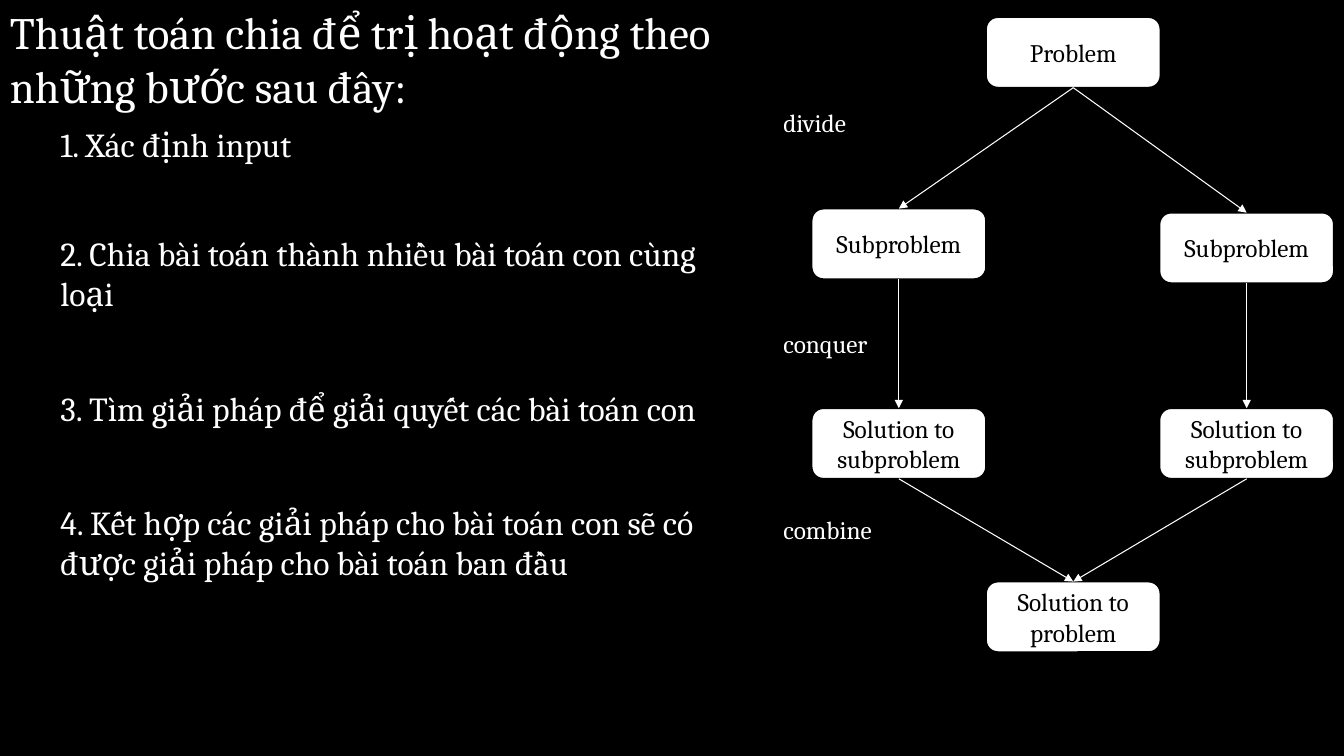
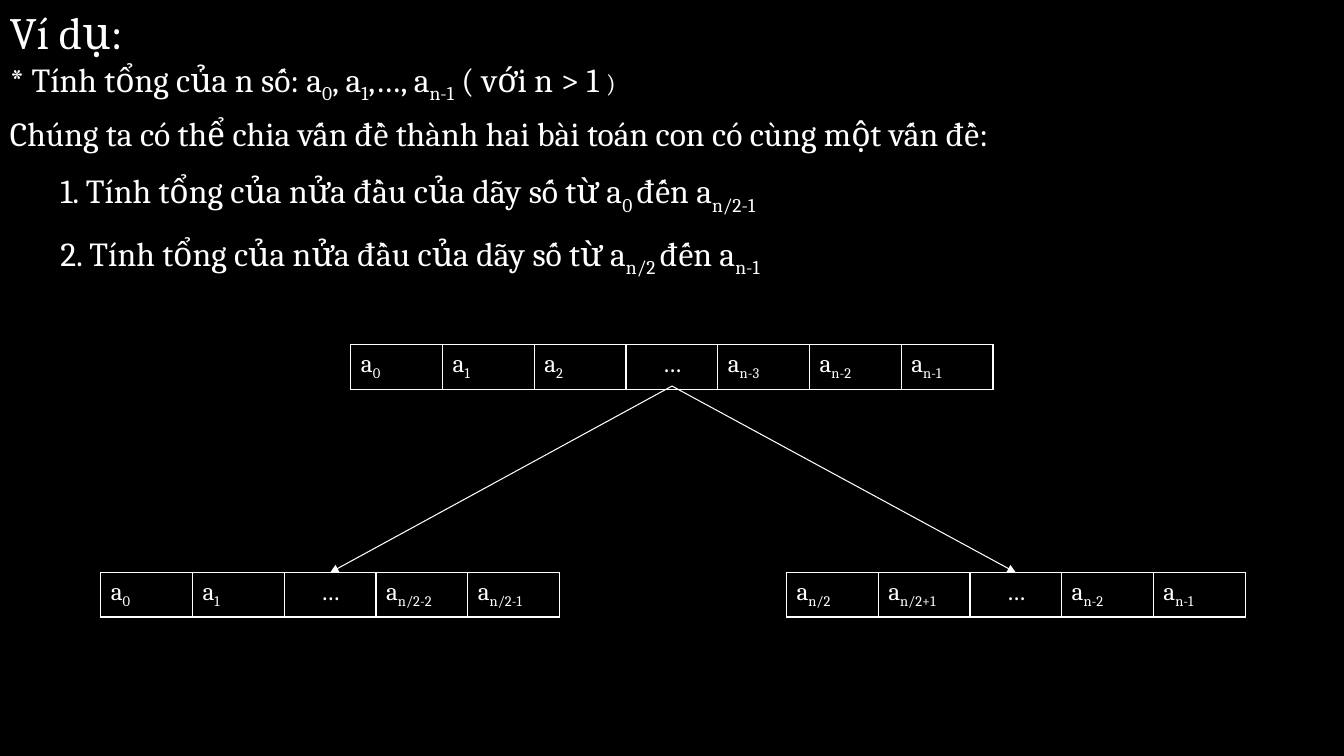
from lxml import etree
from pptx import Presentation
from pptx.dml.color import RGBColor
from pptx.enum.shapes import MSO_CONNECTOR, MSO_SHAPE
from pptx.enum.text import MSO_ANCHOR, PP_ALIGN
from pptx.oxml.ns import qn
from pptx.util import Pt

EMU_PER_PX = 9144
SLIDE_WIDTH, SLIDE_HEIGHT = 1333, 750
BLANK_LAYOUT = 6

FONT = "Cambria"
BLACK, WHITE = "000000", "FFFFFF"
TITLE_SIZE, BODY_SIZE, LABEL_SIZE = 32, 24, 18
INDENT = 50
SUBSCRIPT = "-25000"

NODE_WIDTH, NODE_HEIGHT = 173, 70
CELL_WIDTH, CELL_HEIGHT = 91, 41
TOP, BOTTOM = 0, 2

LEFT, CENTER, JUSTIFY = PP_ALIGN.LEFT, PP_ALIGN.CENTER, PP_ALIGN.JUSTIFY
MIDDLE = MSO_ANCHOR.MIDDLE
ROUNDED = MSO_SHAPE.ROUNDED_RECTANGLE
STRAIGHT = MSO_CONNECTOR.STRAIGHT

STEPS = [
    ("1. Xác định input", 8),
    ("2. Chia bài toán thành nhiều bài toán con cùng loại", 49),
    ("3. Tìm giải pháp để giải quyết các bài toán con", 53),
    ("4. Kết hợp các giải pháp cho bài toán con sẽ có được giải pháp "
     "cho bài toán ban đầu", 53),
]
NODES = {
    "problem": ("Problem", 978, 17),
    "left_part": ("Subproblem", 805, 207),
    "right_part": ("Subproblem", 1150, 211),
    "left_solution": ("Solution to subproblem", 805, 405),
    "right_solution": ("Solution to subproblem", 1150, 405),
    "solution": ("Solution to problem", 978, 577),
}
LINKS = [
    ("problem", "left_part"),
    ("problem", "right_part"),
    ("left_part", "left_solution"),
    ("right_part", "right_solution"),
    ("left_solution", "solution"),
    ("right_solution", "solution"),
]
PHASES = [("divide", 102), ("conquer", 321), ("combine", 505)]

HALVES = [
    "1. Tính tổng của nửa đầu của dãy số từ a|0 |đến a|n/2-1",
    "2. Tính tổng của nửa đầu của dãy số từ a|n/2 |đến a|n-1",
]
WHOLE_SEQUENCE = ["a|0", "a|1", "a|2", "…", "a|n-3", "a|n-2", "a|n-1"]
HALF_SEQUENCES = [
    (100, ["a|0", "a|1", "…", "a|n/2-2", "a|n/2-1"]),
    (780, ["a|n/2", "a|n/2+1", "…", "a|n-2", "a|n-1"]),
]


def px(length):
    return round(length * EMU_PER_PX)


def color(value):
    return RGBColor.from_string(value)


def add_slide(presentation):
    slide = presentation.slides.add_slide(presentation.slide_layouts[BLANK_LAYOUT])
    fill = slide.background.fill
    fill.solid()
    fill.fore_color.rgb = color(BLACK)
    return slide


def add_run(paragraph, text, size, text_color=WHITE):
    run = paragraph.add_run()
    run.text = text
    run.font.name = FONT
    run.font.size = Pt(size)
    run.font.color.rgb = color(text_color)
    return run


def write(paragraph, text, size, text_color=WHITE, align=LEFT):
    paragraph.alignment = align
    for index, part in enumerate(text.split("|")):
        run = add_run(paragraph, part, size, text_color)
        if index % 2:
            run.font._element.set("baseline", SUBSCRIPT)


def add_text(slide, text, size, left, top, width, height):
    frame = slide.shapes.add_textbox(px(left), px(top), px(width), px(height)).text_frame
    frame.word_wrap = True
    write(frame.paragraphs[0], text, size)
    return frame


def add_body(frame, text, align=LEFT, before=0, after=0, indent=0):
    paragraph = frame.add_paragraph()
    write(paragraph, text, BODY_SIZE, align=align)
    paragraph.space_before = Pt(before)
    paragraph.space_after = Pt(after)
    properties = paragraph._p.get_or_add_pPr()
    properties.set("marL", str(px(indent)))
    properties.set("indent", "0")
    return paragraph


def add_node(slide, text, left, top):
    node = slide.shapes.add_shape(
        ROUNDED, px(left), px(top), px(NODE_WIDTH), px(NODE_HEIGHT))
    node.shadow.inherit = False
    node.fill.solid()
    node.fill.fore_color.rgb = color(WHITE)
    node.line.color.rgb = color(BLACK)
    node.line.width = Pt(1.25)
    frame = node.text_frame
    frame.word_wrap = True
    frame.vertical_anchor = MIDDLE
    write(frame.paragraphs[0], text, LABEL_SIZE, BLACK, CENTER)
    return node


def add_arrow(slide, start=(0, 0), end=(0, 0)):
    arrow = slide.shapes.add_connector(STRAIGHT, *map(px, start + end))
    arrow.line.color.rgb = color(WHITE)
    arrow.line.width = Pt(0.75)
    etree.SubElement(arrow.line._get_or_add_ln(), qn("a:tailEnd"), type="triangle")
    etree.SubElement(arrow._element.spPr, qn("a:effectLst"))
    return arrow


def link_nodes(slide, source, target):
    arrow = add_arrow(slide)
    arrow.begin_connect(source, BOTTOM)
    arrow.end_connect(target, TOP)


def set_borders(cell):
    properties = cell._tc.get_or_add_tcPr()
    for side in ("lnL", "lnR", "lnT", "lnB"):
        border = etree.SubElement(properties, qn(f"a:{side}"), w=str(Pt(1)))
        fill = etree.SubElement(border, qn("a:solidFill"))
        etree.SubElement(fill, qn("a:srgbClr"), val=WHITE)


def add_sequence(slide, terms, left, top):
    width = CELL_WIDTH * len(terms)
    table = slide.shapes.add_table(
        1, len(terms), px(left), px(top), px(width), px(CELL_HEIGHT)).table
    table.first_row = False
    table.horz_banding = False
    for column, term in enumerate(terms):
        table.columns[column].width = px(CELL_WIDTH)
        cell = table.cell(0, column)
        set_borders(cell)
        cell.fill.background()
        align = CENTER if term == "…" else LEFT
        write(cell.text_frame.paragraphs[0], term, LABEL_SIZE, align=align)
    return left + width / 2


def build_steps_slide(presentation):
    slide = add_slide(presentation)
    frame = add_text(slide, "Thuật toán chia để trị hoạt động theo những bước sau đây:",
                     TITLE_SIZE, 0, 0, 754, 587)
    for text, before in STEPS:
        add_body(frame, text, before=before, indent=INDENT)
    nodes = {name: add_node(slide, *node) for name, node in NODES.items()}
    for source, target in LINKS:
        link_nodes(slide, nodes[source], nodes[target])
    for text, top in PHASES:
        add_text(slide, text, LABEL_SIZE, 767, top, 112, 40)


def build_example_slide(presentation):
    slide = add_slide(presentation)
    frame = add_text(slide, "Ví dụ:", TITLE_SIZE, 0, 0, 1025, 316)
    task = add_body(frame, "* Tính tổng của n số: a|0|, a|1|,…, a|n-1| ( với n > 1 ")
    add_run(task, ")", LABEL_SIZE)
    add_body(frame, "Chúng ta có thể chia vấn đề thành hai bài toán con có cùng một vấn đề:",
             JUSTIFY, 6, 6)
    for text in HALVES:
        add_body(frame, text, JUSTIFY, 6, 6, INDENT)
    whole_top, half_top = 342, 568
    whole_center = add_sequence(slide, WHOLE_SEQUENCE, 348, whole_top)
    for left, terms in HALF_SEQUENCES:
        half_center = add_sequence(slide, terms, left, half_top)
        add_arrow(slide, (whole_center, whole_top + CELL_HEIGHT), (half_center, half_top))


def main():
    presentation = Presentation()
    presentation.slide_width = px(SLIDE_WIDTH)
    presentation.slide_height = px(SLIDE_HEIGHT)
    build_steps_slide(presentation)
    build_example_slide(presentation)
    presentation.save("out.pptx")


if __name__ == "__main__":
    main()
